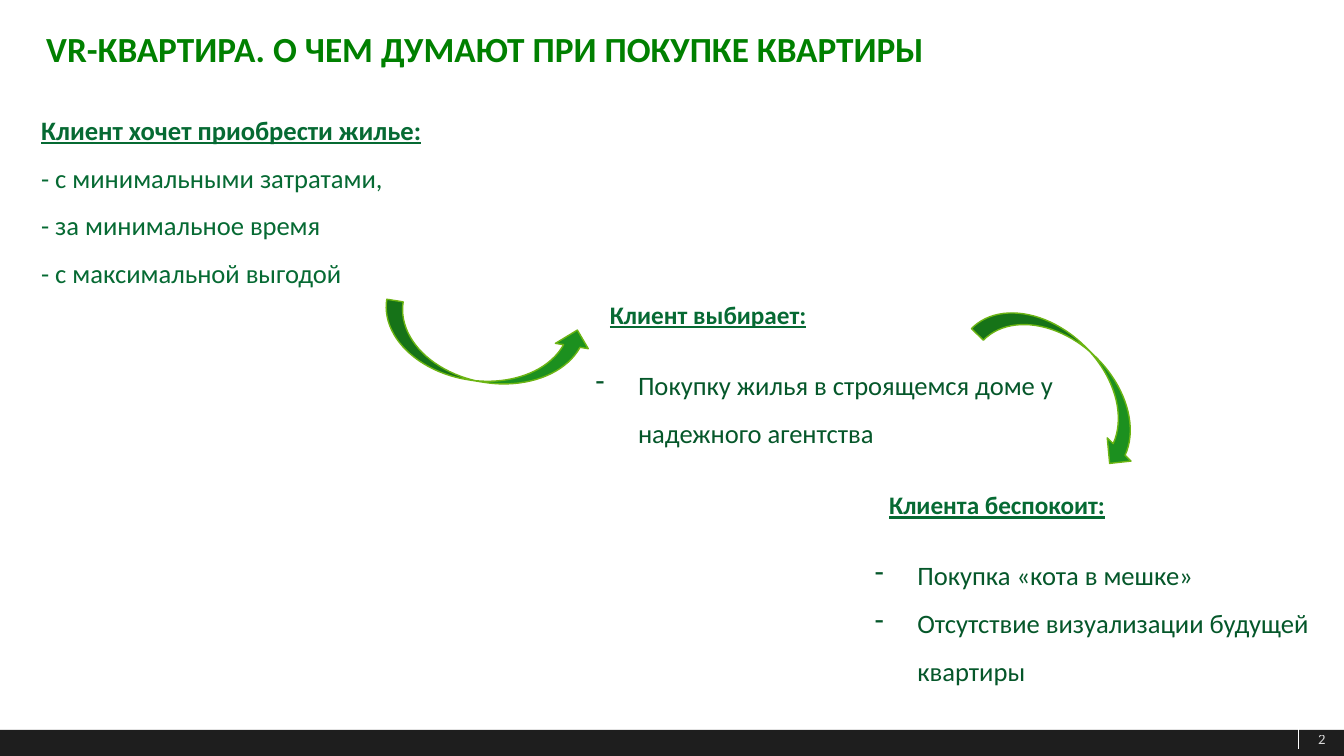
from lxml import etree
from pptx import Presentation
from pptx.dml.color import RGBColor
from pptx.enum.shapes import MSO_CONNECTOR, MSO_SHAPE
from pptx.enum.text import MSO_ANCHOR, PP_ALIGN
from pptx.oxml.ns import qn
from pptx.util import Inches, Pt

CURVED_ARROW = MSO_SHAPE.CURVED_LEFT_ARROW
RECTANGLE = MSO_SHAPE.RECTANGLE
STRAIGHT = MSO_CONNECTOR.STRAIGHT
MIDDLE = MSO_ANCHOR.MIDDLE
CENTER = PP_ALIGN.CENTER

FONT = "Calibri"
TITLE_GREEN = RGBColor(0x00, 0x80, 0x00)
HEADING_GREEN = RGBColor(0x06, 0x6A, 0x33)
BODY_GREEN = RGBColor(0x05, 0x57, 0x2A)
ARROW_FILL = RGBColor(0x1C, 0x90, 0x1F)
ARROW_LINE = RGBColor(0x6C, 0xB5, 0x13)
FOOTER_DARK = RGBColor(0x1E, 0x1E, 0x1E)
WHITE = RGBColor(0xFF, 0xFF, 0xFF)


def format_paragraph(p, size, color, bold=False, underline=False, spacing=1.5):
    p.line_spacing = spacing
    for r in p.runs:
        r.font.name = FONT
        r.font.size = Pt(size)
        r.font.color.rgb = color
        r.font.bold = bold
        r.font.underline = underline


def add_text(s, left, top, width, height, lines, wrap=True):
    """Add a text box with one unformatted paragraph per line."""
    box = s.shapes.add_textbox(Inches(left), Inches(top), Inches(width), Inches(height))
    tf = box.text_frame
    tf.word_wrap = wrap
    tf.text = "\n".join(lines)
    return tf


def add_heading(s, left, top, width, text):
    tf = add_text(s, left, top, width, 0.51, [text], wrap=False)
    format_paragraph(tf.paragraphs[0], 18, HEADING_GREEN, bold=True, underline=True)


def add_dash_list(s, left, top, height, lines):
    tf = add_text(s, left, top, 4.8, height, lines)
    for p in tf.paragraphs:
        format_paragraph(p, 19, BODY_GREEN)
        pPr = p._p.get_or_add_pPr()
        pPr.set("marL", str(Inches(0.42)))
        pPr.set("indent", str(-Inches(0.42)))
        etree.SubElement(pPr, qn("a:buChar")).set("char", "-")


def add_curved_arrow(s, left, top, rotation, flip=False):
    arrow = s.shapes.add_shape(CURVED_ARROW, Inches(left), Inches(top),
                               Inches(0.66), Inches(2.08))
    arrow.shadow.inherit = False
    arrow.rotation = rotation
    arrow.fill.solid()
    arrow.fill.fore_color.rgb = ARROW_FILL
    arrow.line.color.rgb = ARROW_LINE
    arrow.line.width = Pt(1)
    if flip:
        arrow._element.spPr.find(qn("a:xfrm")).set("flipV", "1")


def add_footer(s, number):
    bar = s.shapes.add_shape(RECTANGLE, 0, Inches(7.24), Inches(13.33), Inches(0.28))
    bar.shadow.inherit = False
    bar.fill.solid()
    bar.fill.fore_color.rgb = FOOTER_DARK
    bar.line.fill.background()

    divider = s.shapes.add_connector(STRAIGHT, Inches(12.88), Inches(7.22),
                                     Inches(12.88), Inches(7.43))
    divider.line.color.rgb = WHITE
    divider.line.width = Pt(0.5)
    etree.SubElement(divider._element.spPr, qn("a:effectLst"))

    tf = add_text(s, 12.92, 7.13, 0.38, 0.4, [number], wrap=False)
    tf.vertical_anchor = MIDDLE
    p = tf.paragraphs[0]
    p.alignment = CENTER
    format_paragraph(p, 10.5, WHITE, spacing=1.0)
    color = p.runs[0]._r.find(".//" + qn("a:srgbClr"))
    etree.SubElement(color, qn("a:alpha")).set("val", "83000")


def main():
    prs = Presentation()
    prs.slide_width = Inches(13.33)
    prs.slide_height = Inches(7.5)
    s = prs.slides.add_slide(prs.slide_layouts[6])

    add_footer(s, "2")

    # Title
    tf = add_text(s, 0.36, 0.22, 9.5, 1.39,
                  ["VR-КВАРТИРА. О ЧЕМ ДУМАЮТ ПРИ ПОКУПКЕ КВАРТИРЫ"])
    format_paragraph(tf.paragraphs[0], 25.2, TITLE_GREEN, bold=True, spacing=1.0)

    # What the client worries about
    add_dash_list(s, 8.58, 5.34, 2.44, ["Покупка «кота в мешке»",
                                        "Отсутствие визуализации будущей квартиры"])
    add_heading(s, 8.72, 4.66, 2.36, "Клиента беспокоит:")

    # What the client chooses
    add_dash_list(s, 5.81, 3.45, 1.49,
                  ["Покупку жилья в строящемся доме у надежного агентства"])
    add_heading(s, 5.95, 2.77, 2.17, "Клиент выбирает:")

    # Arrows between the steps
    add_curved_arrow(s, 4.48, 2.42, 99.2, flip=True)
    add_curved_arrow(s, 10.28, 2.71, 314.3)

    # What the client wants
    tf = add_text(s, 0.31, 0.92, 4.8, 1.97, ["Клиент хочет приобрести жилье:",
                                             "- с минимальными затратами,",
                                             "- за минимальное время",
                                             "- с максимальной выгодой"])
    for i, p in enumerate(tf.paragraphs):
        format_paragraph(p, 19, HEADING_GREEN, bold=i == 0, underline=i == 0)

    prs.save("out.pptx")


if __name__ == "__main__":
    main()
